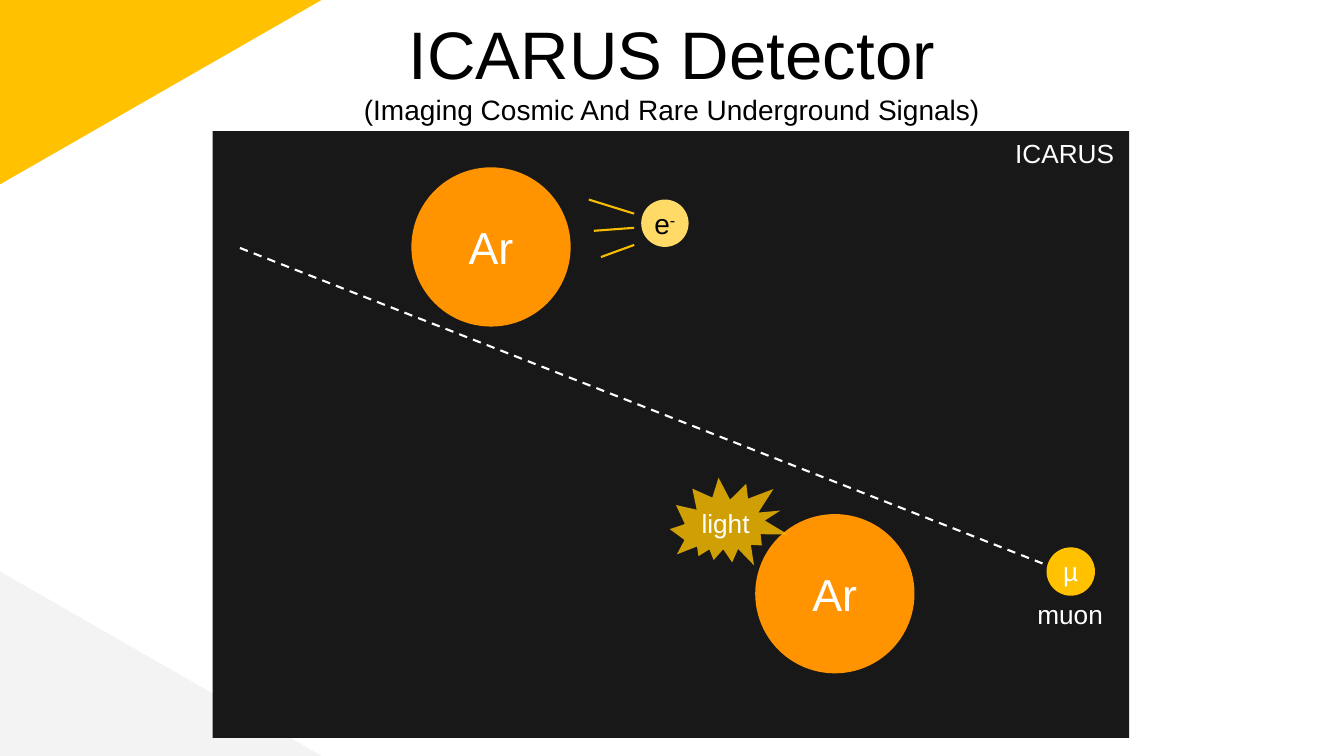
from lxml import etree
from pptx import Presentation
from pptx import util as u
from pptx.dml.color import RGBColor
from pptx.enum import dml, shapes, text
from pptx.oxml.ns import qn

Inches = u.Inches
Kind = shapes.MSO_SHAPE

presentation = Presentation()
presentation.slide_width = Inches(13.33)
presentation.slide_height = Inches(7.5)
slide = presentation.slides.add_slide(presentation.slide_layouts[5])


def add_filled(kind, left, top, width, height, color):
    shape = slide.shapes.add_shape(kind, Inches(left), Inches(top), Inches(width), Inches(height))
    shape.shadow.inherit = False
    shape.fill.solid()
    shape.fill.fore_color.rgb = RGBColor.from_string(color)
    shape.line.fill.background()
    return shape


def add_run(paragraph, words, size, color):
    run = paragraph.add_run()
    run.text = words
    run.font.name = "Arial"
    run.font.size = u.Pt(size)
    run.font.color.rgb = RGBColor.from_string(color)
    return run


top_corner = add_filled(Kind.RIGHT_TRIANGLE, 0, 0, 3.19, 1.83, "FFC100")
top_corner.element.spPr.find(qn("a:xfrm")).set("flipV", "1")
add_filled(Kind.RIGHT_TRIANGLE, 0, 5.67, 3.19, 1.83, "F3F3F3")
add_filled(Kind.RECTANGLE, 2.11, 1.3, 9.09, 6.02, "181818")

particles = [
    (4.08, 1.66, 1.58, "FF9300", "Ar", 32, "FFFFFF"),
    (7.49, 5.1, 1.58, "FF9300", "Ar", 32, "FFFFFF"),
    (10.38, 5.43, 0.48, "FFC100", "µ", 18.7, "FFFFFF"),
    (6.36, 1.98, 0.47, "FFDA66", "e", 20, "000000"),
]
for left, top, diameter, fill, symbol, size, color in particles:
    particle = add_filled(Kind.OVAL, left, top, diameter, diameter, fill)
    frame = particle.text_frame
    frame.margin_left = frame.margin_right = frame.margin_top = frame.margin_bottom = 0
    frame.vertical_anchor = text.MSO_ANCHOR.MIDDLE
    paragraph = frame.paragraphs[0]
    paragraph.alignment = text.PP_ALIGN.CENTER
    add_run(paragraph, symbol, size, color)
    if symbol == "e":
        charge = add_run(paragraph, "-", size, color)
        charge.font._element.set("baseline", "30000")

tracks = [
    (2.38, 2.46, 10.34, 5.59, "FFFFFF", dml.MSO_LINE.DASH),
    (5.84, 1.98, 6.29, 2.12, "F9BD00", None),
    (5.89, 2.29, 6.29, 2.26, "F9BD00", None),
    (5.96, 2.55, 6.29, 2.43, "F9BD00", None),
]
for start_x, start_y, end_x, end_y, color, dash in tracks:
    track = slide.shapes.add_connector(
        shapes.MSO_CONNECTOR.STRAIGHT,
        Inches(start_x), Inches(start_y), Inches(end_x), Inches(end_y),
    )
    track.line.color.rgb = RGBColor.from_string(color)
    track.line.width = u.Pt(1.5)
    track.line.dash_style = dash
    etree.SubElement(track.element.spPr, qn("a:effectLst"))

flash = add_filled(Kind.EXPLOSION2, 6.68, 4.68, 1.11, 1.04, "FFC100")
flash.rotation = 29.9
flash_color = flash.element.spPr.find(qn("a:solidFill"))[0]
etree.SubElement(flash_color, qn("a:alpha")).set("val", "80000")

labels = [
    (9.97, 1.31, 1.19, "ICARUS"),
    (6.86, 4.98, 0.68, "light"),
    (10.19, 5.89, 0.86, "muon"),
]
for left, top, width, words in labels:
    label = slide.shapes.add_textbox(Inches(left), Inches(top), Inches(width), Inches(0.42))
    frame = label.text_frame
    frame.word_wrap = False
    frame.auto_size = text.MSO_AUTO_SIZE.SHAPE_TO_FIT_TEXT
    add_run(frame.paragraphs[0], words, 18.7, "FFFFFF")

title = slide.shapes.title
title.left, title.top = Inches(0.76), Inches(0.02)
title.width, title.height = Inches(11.81), Inches(0.84)
frame = title.text_frame
frame.margin_left = frame.margin_right = frame.margin_top = frame.margin_bottom = Inches(0.1)
frame.word_wrap = True
frame.auto_size = text.MSO_AUTO_SIZE.NONE
frame.vertical_anchor = text.MSO_ANCHOR.TOP
paragraph = frame.paragraphs[0]
paragraph.alignment = text.PP_ALIGN.CENTER
add_run(paragraph, "ICARUS Detector", 48, "000000")
paragraph.add_line_break()
add_run(paragraph, "(Imaging Cosmic And Rare Underground Signals)", 20, "000000")

presentation.save("out.pptx")
